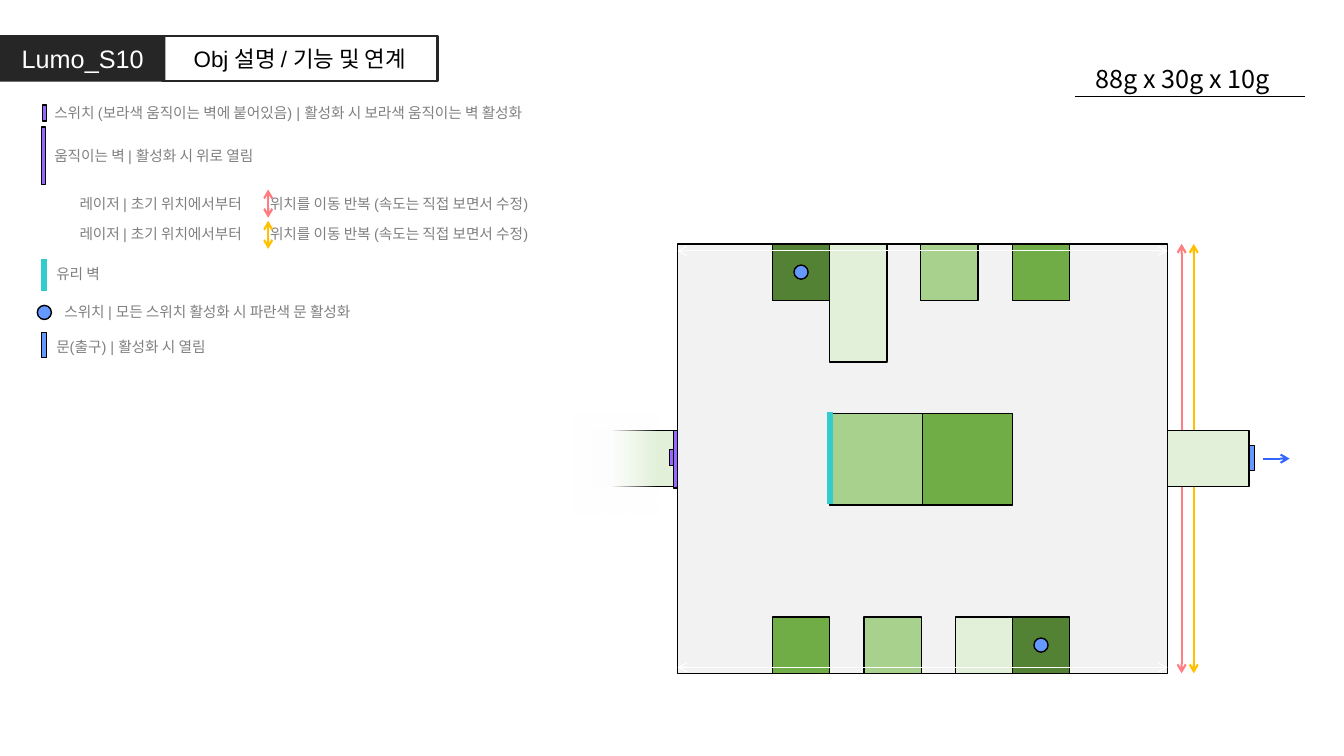
from lxml import etree
from pptx import Presentation
from pptx.dml.color import RGBColor
from pptx.enum.shapes import MSO_CONNECTOR, MSO_SHAPE
from pptx.enum.text import MSO_ANCHOR, PP_ALIGN
from pptx.oxml.ns import qn
from pptx.util import Inches, Pt

RECT, DOT = MSO_SHAPE.RECTANGLE, MSO_SHAPE.OVAL
STRAIGHT = MSO_CONNECTOR.STRAIGHT
LEFT, CENTER = PP_ALIGN.LEFT, PP_ALIGN.CENTER
MIDDLE, TOP = MSO_ANCHOR.MIDDLE, MSO_ANCHOR.TOP

BLACK, WHITE, DARK, GRAY, FLOOR = "000000", "FFFFFF", "262626", "808080", "F2F2F2"
PALE, LIGHT, MID, DEEP = "E2F0D9", "A9D18E", "70AD47", "548235"
PURPLE, BLUE, ARROW_BLUE, GLASS = "9966FF", "6699FF", "3366FF", "33CCCC"
PINK, AMBER = "FF7C80", "FFC000"

# Content: legend lines as left, top, text
LASER = "레이저 | 초기 위치에서부터\t위치를 이동 반복 (속도는 직접 보면서 수정)"
LASER_TAB = 1.89
LEGEND = [
    (0.44, 0.98, "스위치 (보라색 움직이는 벽에 붙어있음) | 활성화 시 보라색 움직이는 벽 활성화"),
    (0.44, 1.41, "움직이는 벽 | 활성화 시 위로 열림"),
    (0.69, 1.88, LASER),
    (0.69, 2.18, LASER),
    (0.46, 2.58, "유리 벽"),
    (0.54, 2.95, "스위치 | 모든 스위치 활성화 시 파란색 문 활성화"),
    (0.46, 3.3, "문(출구) | 활성화 시 열림"),
]
LEGEND_MARKS = [
    (RECT, 0.42, 1.04, 0.04, 0.16, PURPLE),
    (RECT, 0.41, 1.26, 0.04, 0.57, PURPLE),
    (DOT, 0.37, 3.03, 0.14, 0.14, BLUE),
    (RECT, 0.41, 3.3, 0.05, 0.25, BLUE),
]
LEGEND_LASERS = [(1.88, PINK), (2.19, AMBER)]

# Map: room frame, tile size, and blocks as offset from the room's left, colour
ROOM_X, ROOM_Y, ROOM_W, ROOM_H = 6.72, 2.42, 4.86, 4.26
TILE_W, TILE_H = 0.57, 0.56
HALL_W, HALL_Y = 0.81, 4.27
TOP_TILES = [(0.94, DEEP), (2.41, LIGHT), (3.32, MID)]
BOTTOM_TILES = [(0.94, MID), (1.85, LIGHT), (2.76, PALE), (3.32, DEEP)]
CENTER_BLOCKS = [(1.51, 0.92, LIGHT), (2.43, 0.89, MID)]
SWITCH_TILES = [(0.94, ROOM_Y), (3.32, ROOM_Y + ROOM_H - TILE_H)]
LASERS = [(0.26, AMBER), (0.14, PINK)]

deck = Presentation()
deck.slide_width, deck.slide_height = Inches(13.33), Inches(7.5)
page = deck.slides.add_slide(deck.slide_layouts[6])


def color(value):
    return RGBColor.from_string(value)


def add_block(kind, x, y, w, h, fill=None, line=BLACK, width=1):
    block = page.shapes.add_shape(kind, Inches(x), Inches(y), Inches(w), Inches(h))
    block.shadow.inherit = False
    if fill:
        block.fill.solid()
        block.fill.fore_color.rgb = color(fill)
    else:
        block.fill.background()
    if line:
        block.line.color.rgb = color(line)
        block.line.width = Pt(width)
    else:
        block.line.fill.background()
    return block


def add_line(start, end, stroke, width, head=False, tail=False):
    line = page.shapes.add_connector(STRAIGHT, *map(Inches, start + end))
    line.line.color.rgb = color(stroke)
    line.line.width = Pt(width)
    outline = line.line._get_or_add_ln()
    for shown, tag in ((head, "a:headEnd"), (tail, "a:tailEnd")):
        if shown:
            etree.SubElement(outline, qn(tag)).set("type", "arrow")
    etree.SubElement(line._element.spPr, qn("a:effectLst"))


def write(box, text, size, ink=BLACK, font="Arial", align=LEFT, anchor=TOP, tab=None):
    frame = box.text_frame
    frame.word_wrap = True
    frame.vertical_anchor = anchor
    para = frame.paragraphs[0]
    para.alignment = align
    if tab:
        tabs = etree.SubElement(para._p.get_or_add_pPr(), qn("a:tabLst"))
        etree.SubElement(tabs, qn("a:tab"), pos=str(Inches(tab)), algn="l")
    span = para.add_run()
    span.text = text
    span.font.size = Pt(size)
    span.font.name = font
    span.font.color.rgb = color(ink)


def add_text(x, y, w, h, text, size, **style):
    box = page.shapes.add_textbox(Inches(x), Inches(y), Inches(w), Inches(h))
    write(box, text, size, **style)


# Header
write(add_block(RECT, 0, 0.35, 1.64, 0.46, DARK, line=None),
      "Lumo_S10", 18, ink=WHITE, align=CENTER, anchor=MIDDLE)
write(add_block(RECT, 1.61, 0.36, 2.73, 0.44, line=DARK, width=1.5),
      "Obj 설명 / 기능 및 연계", 16, align=CENTER, anchor=MIDDLE)
add_line((10.66, 0.96), (12.94, 0.96), BLACK, 1)
add_text(10.63, 0.58, 2.2, 0.4, "88g x 30g x 10g", 18,
         font="Noto Sans CJK KR", align=CENTER)

# Legend
for mark in LEGEND_MARKS:
    add_block(*mark)
add_line((0.44, 2.57), (0.44, 2.89), GLASS, 4.5)
for x, y, text in LEGEND:
    add_text(x, y, 6.38, 0.28, text, 10.5, ink=GRAY,
             tab=LASER_TAB if text == LASER else None)
for y, stroke in LEGEND_LASERS:
    add_line((2.66, y + 0.28), (2.66, y), stroke, 1.5, head=True, tail=True)

# Room and the entrance hall fading out to the left
room_right, room_bottom = ROOM_X + ROOM_W, ROOM_Y + ROOM_H
add_block(RECT, ROOM_X, ROOM_Y, ROOM_W, ROOM_H, FLOOR)
add_block(RECT, 5.87, HALL_Y, HALL_W, TILE_H, PALE)
fade = add_block(RECT, 5.68, 4.09, 0.84, 1, line=None)
fade.fill.gradient()
fade.fill.gradient_angle = 180
for stop, position in zip(fade.fill.gradient_stops, (0, 0.55)):
    stop.color.rgb = color(WHITE)
    stop.position = position
clear_stop = next(fade._element.spPr.iter(qn("a:srgbClr")))
etree.SubElement(clear_stop, qn("a:alpha")).set("val", "0")
add_block(RECT, 6.64, 4.46, 0.04, 0.16, PURPLE)
add_block(RECT, 6.68, HALL_Y, 0.04, 0.57, PURPLE)

# Blocks inside the room
for offset, fill in TOP_TILES:
    add_block(RECT, ROOM_X + offset, ROOM_Y, TILE_W, TILE_H, fill)
add_block(RECT, ROOM_X + 1.51, ROOM_Y, TILE_W, 1.17, PALE)
for offset, fill in BOTTOM_TILES:
    add_block(RECT, ROOM_X + offset, room_bottom - TILE_H, TILE_W, TILE_H, fill)
for offset, width, fill in CENTER_BLOCKS:
    add_block(RECT, ROOM_X + offset, 4.1, width, 0.91, fill)
for y in (ROOM_Y + 0.07, room_bottom - 0.06):
    add_line((ROOM_X, y), (room_right, y), WHITE, 0.75, head=True, tail=True)
for offset, y in SWITCH_TILES:
    add_block(DOT, ROOM_X + offset + (TILE_W - 0.14) / 2,
              y + (TILE_H - 0.14) / 2, 0.14, 0.14, BLUE)
add_line((8.23, 4.09), (8.23, 5), GLASS, 4.5)

# Lasers and the exit hall
for offset, stroke in LASERS:
    x = room_right + offset
    add_line((x, room_bottom), (x, ROOM_Y), stroke, 1.5, head=True, tail=True)
add_block(RECT, room_right, HALL_Y, HALL_W, TILE_H, PALE)
add_block(RECT, room_right + HALL_W, 4.42, 0.05, 0.25, BLUE)
add_line((12.53, 4.55), (12.79, 4.55), ARROW_BLUE, 1.5, tail=True)

deck.save("out.pptx")
